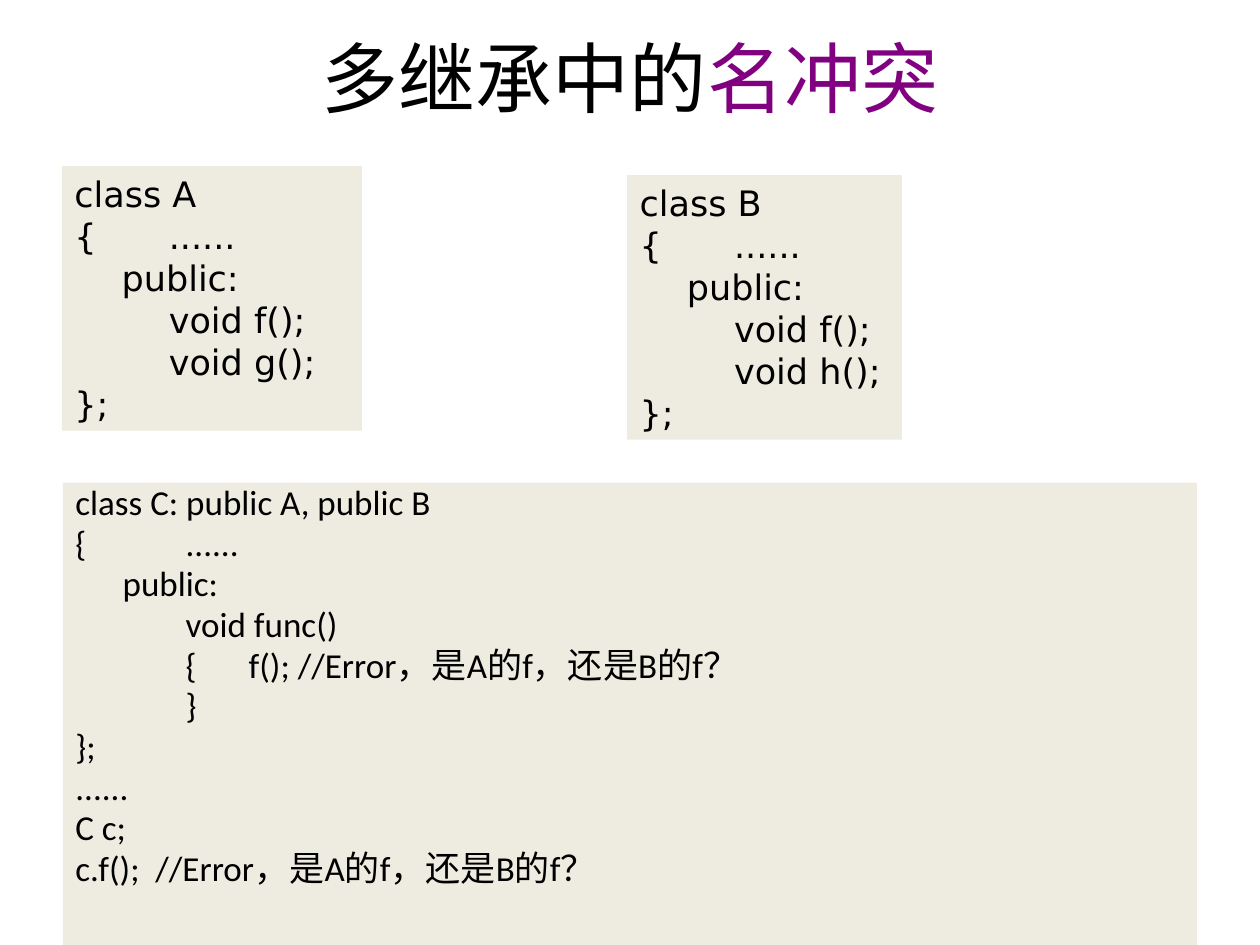
from lxml import etree
from pptx import Presentation
from pptx.dml.color import RGBColor
from pptx.enum import shapes, text
from pptx.oxml import ns
from pptx.util import Pt

COLORS = {"ink": "000000", "accent": "800080", "panel": "EEECE1"}

CLASS_LINES = ["class {name}", "{{\t\t......", "\tpublic:", "\t\tvoid f();",
               "\t\tvoid {method}();", "}};"]
DERIVED_LINES = ["class C: public A, public B", "{\t\t......", "\tpublic:",
                 "\t\tvoid func()", "\t\t{\tf(); //Error，是A的f，还是B的f？",
                 "\t\t}", "};", "......", "C c;",
                 "c.f();  //Error，是A的f，还是B的f？"]


def color(name):
    return RGBColor.from_string(COLORS[name])


def set_values(target, values):
    for name, value in values.items():
        setattr(target, name, value)


def add_tabs(para, step, count=3):
    """Left tab stops at equal steps, in points."""
    tabs = etree.SubElement(para._p.get_or_add_pPr(), ns.qn("a:tabLst"))
    for number in range(1, count + 1):
        etree.SubElement(tabs, ns.qn("a:tab"), pos=str(int(Pt(step * number))), algn="l")


def set_hanging(para, size):
    props = para._p.get_or_add_pPr()
    props.set("marL", str(int(Pt(size))))
    props.set("indent", str(-int(Pt(size))))


def add_title(page, parts):
    box = page.shapes.add_textbox(Pt(36), Pt(9.4), Pt(648), Pt(68.4))
    set_values(box.text_frame, {"word_wrap": True,
                                "vertical_anchor": text.MSO_ANCHOR.MIDDLE})
    para = box.text_frame.paragraphs[0]
    para.alignment = text.PP_ALIGN.CENTER
    for words, shade in parts:
        span = para.add_run()
        span.text = words
        set_values(span.font, {"name": "Calibri", "size": Pt(44)})
        span.font.color.rgb = color(shade)


def add_code(page, area, lines, font, tab_step, wrap=True, hanging=0, spacing=None):
    box = page.shapes.add_shape(shapes.MSO_SHAPE.RECTANGLE, *map(Pt, area))
    box.shadow.inherit = False
    box.fill.solid()
    box.fill.fore_color.rgb = color("panel")
    box.line.fill.background()
    frame = box.text_frame
    set_values(frame, {"word_wrap": wrap, "vertical_anchor": text.MSO_ANCHOR.TOP})
    for index, line in enumerate(lines):
        para = frame.add_paragraph() if index else frame.paragraphs[0]
        para.alignment = text.PP_ALIGN.LEFT
        if hanging:
            set_hanging(para, hanging)
        if spacing:
            para.line_spacing = spacing
            if index:
                para.space_before = Pt(4)
        add_tabs(para, tab_step)
        span = para.add_run()
        span.text = line
        set_values(span.font, {"name": font, "size": Pt(20)})
        span.font.color.rgb = color("ink")


def main():
    deck = Presentation()
    set_values(deck, {"slide_width": Pt(720), "slide_height": Pt(540)})
    page = deck.slides.add_slide(deck.slide_layouts[6])

    # Heading
    add_title(page, [("多继承中的", "ink"), ("名冲突", "accent")])

    # Derived class
    add_code(page, (36, 275.8, 648, 264.2), DERIVED_LINES, "Calibri",
             tab_step=41.6, hanging=27, spacing=0.8)

    # Base classes
    bases = [("A", "g", (35.4, 95, 171.4, 151.2), True),
             ("B", "h", (358.4, 100.1, 157, 151.2), False)]
    for name, method, area, wrap in bases:
        lines = [line.format(name=name, method=method) for line in CLASS_LINES]
        add_code(page, area, lines, "DejaVu Sans", tab_step=27, wrap=wrap)

    deck.save("out.pptx")


if __name__ == "__main__":
    main()
